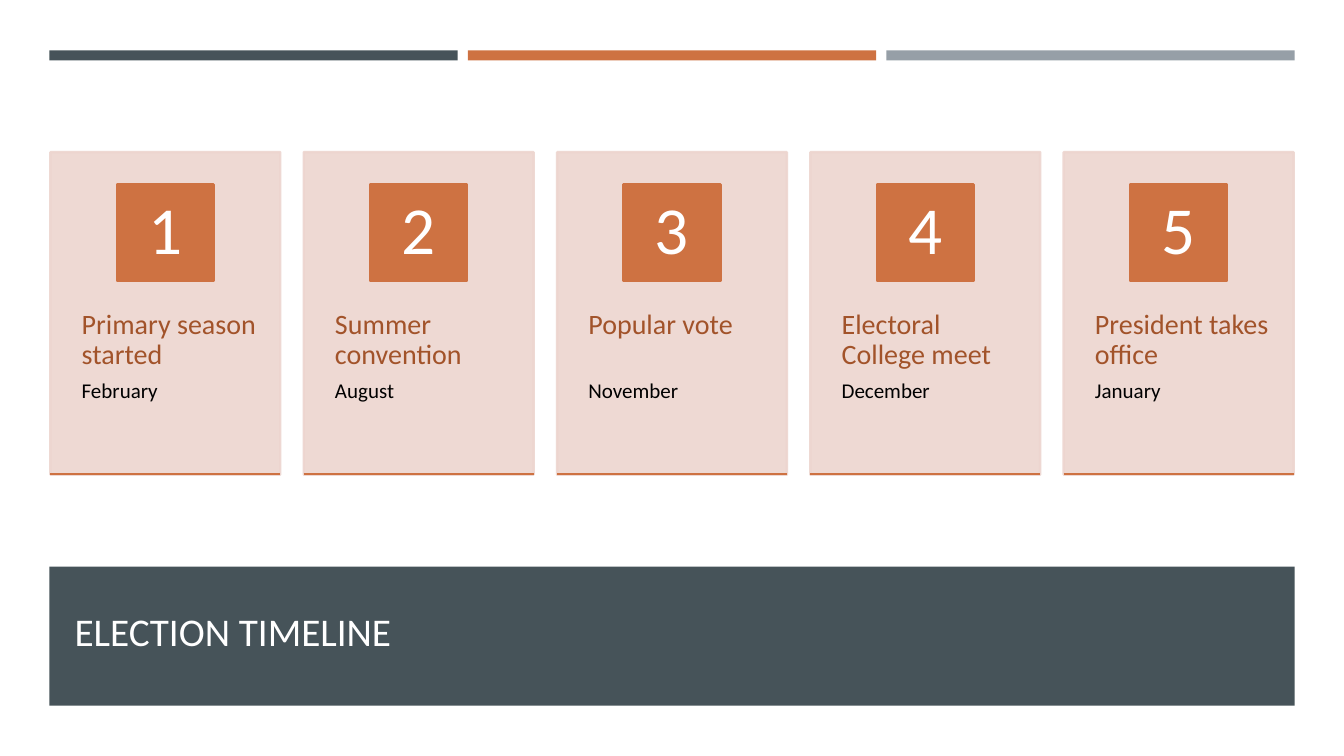
from dataclasses import dataclass

from lxml import etree
from pptx import Presentation
from pptx.dml.color import RGBColor
from pptx.enum.shapes import MSO_CONNECTOR, MSO_SHAPE
from pptx.enum.text import MSO_ANCHOR, PP_ALIGN
from pptx.oxml.ns import qn
from pptx.util import Inches, Pt

RECT, STRAIGHT = MSO_SHAPE.RECTANGLE, MSO_CONNECTOR.STRAIGHT
TOP, MIDDLE = MSO_ANCHOR.TOP, MSO_ANCHOR.MIDDLE
LEFT, CENTER = PP_ALIGN.LEFT, PP_ALIGN.CENTER

TITLE = "ELECTION TIMELINE"
STEPS = [
    ("Primary season started", "February", 7),
    ("Summer convention", "August", 7),
    ("Popular vote", "November", 28.5),
    ("Electoral College meet", "December", 7),
    ("President takes office", "January", 7),
]


@dataclass(frozen=True)
class Theme:
    font: str = "Calibri"
    slate: str = "465359"
    orange: str = "CE7242"
    gray: str = "969FA7"
    card: str = "EDD5CF"
    heading: str = "A2532A"
    ink: str = "000000"
    white: str = "FFFFFF"
    title_size: float = 28
    number_size: float = 48
    heading_size: float = 20
    date_size: float = 15
    line_width: float = 1.75


T = Theme()


def rgb(color):
    return RGBColor.from_string(color)


def set_alpha(sp, percent):
    for color in sp._element.spPr.iter(qn("a:srgbClr")):
        etree.SubElement(color, qn("a:alpha")).set("val", str(percent * 1000))


def add_rect(s, x, y, w, h, color, outlined=False):
    sp = s.shapes.add_shape(RECT, Inches(x), Inches(y), Inches(w), Inches(h))
    sp.shadow.inherit = False
    sp.fill.solid()
    sp.fill.fore_color.rgb = rgb(color)
    if outlined:
        sp.line.color.rgb = rgb(color)
        sp.line.width = Pt(T.line_width)
    else:
        sp.line.fill.background()
    return sp


def add_rule(s, x, y, w, color):
    line = s.shapes.add_connector(STRAIGHT, Inches(x), Inches(y), Inches(x + w), Inches(y))
    line.line.color.rgb = rgb(color)
    line.line.width = Pt(T.line_width)
    etree.SubElement(line._element.spPr, qn("a:effectLst"))


def set_frame(tf, anchor, insets):
    tf.word_wrap = True
    tf.vertical_anchor = anchor
    tf.margin_left, tf.margin_top, tf.margin_right, tf.margin_bottom = map(Inches, insets)


def write(p, text, size, color, align=LEFT, after=0):
    p.alignment = align
    p.line_spacing = 0.9
    p.space_before = Pt(0)
    p.space_after = Pt(after)
    r = p.add_run()
    r.text = text
    r.font.name = T.font
    r.font.size = Pt(size)
    r.font.color.rgb = rgb(color)


def add_step(s, x, number, heading, date, gap):
    card = add_rect(s, x, CARD_Y, CARD_W, CARD_H, T.card, outlined=True)
    set_alpha(card, 90)

    box = s.shapes.add_textbox(Inches(x), Inches(2.72), Inches(CARD_W), Inches(1.92))
    tf = box.text_frame
    set_frame(tf, TOP, (0.31, 0.36, 0.18, 0.36))
    write(tf.paragraphs[0], heading, T.heading_size, T.heading, after=gap)
    write(tf.add_paragraph(), date, T.date_size, T.ink)

    badge_x = x + (CARD_W - BADGE) / 2
    badge = add_rect(s, badge_x, 1.83, BADGE, BADGE, T.orange, outlined=True)
    set_frame(badge.text_frame, MIDDLE, (0.07, 0.01, 0.07, 0.01))
    write(badge.text_frame.paragraphs[0], str(number), T.number_size, T.white, align=CENTER)

    add_rule(s, x, CARD_Y + CARD_H - 0.01, CARD_W, T.orange)


MARGIN, BAND_W = 0.49, 12.35
BAR_W, BAR_GAP = 4.05, 0.1
CARDS_X, CARDS_W = 0.5, 12.33
CARD_Y, CARD_W, CARD_H, BADGE = 1.51, 2.28, 3.2, 0.96


def main():
    prs = Presentation()
    prs.slide_width, prs.slide_height = Inches(13.33), Inches(7.5)
    s = prs.slides.add_slide(prs.slide_layouts[5])

    add_rect(s, MARGIN, 5.62, BAND_W, 1.38, T.slate)
    title = s.shapes.title
    title.left, title.top, title.width, title.height = map(Inches, (0.64, 5.76, 12.06, 1.05))
    set_frame(title.text_frame, MIDDLE, (0.1, 0.05, 0.1, 0.05))
    write(title.text_frame.paragraphs[0], TITLE, T.title_size, T.white)
    s.shapes._spTree.append(title._element)

    for i, color in enumerate((T.slate, T.orange, T.gray)):
        add_rect(s, MARGIN + i * (BAR_W + BAR_GAP), 0.5, BAR_W, 0.1, color)

    pitch = (CARDS_W - CARD_W) / (len(STEPS) - 1)
    for i, step in enumerate(STEPS):
        add_step(s, CARDS_X + i * pitch, i + 1, *step)

    prs.save("out.pptx")


if __name__ == "__main__":
    main()
